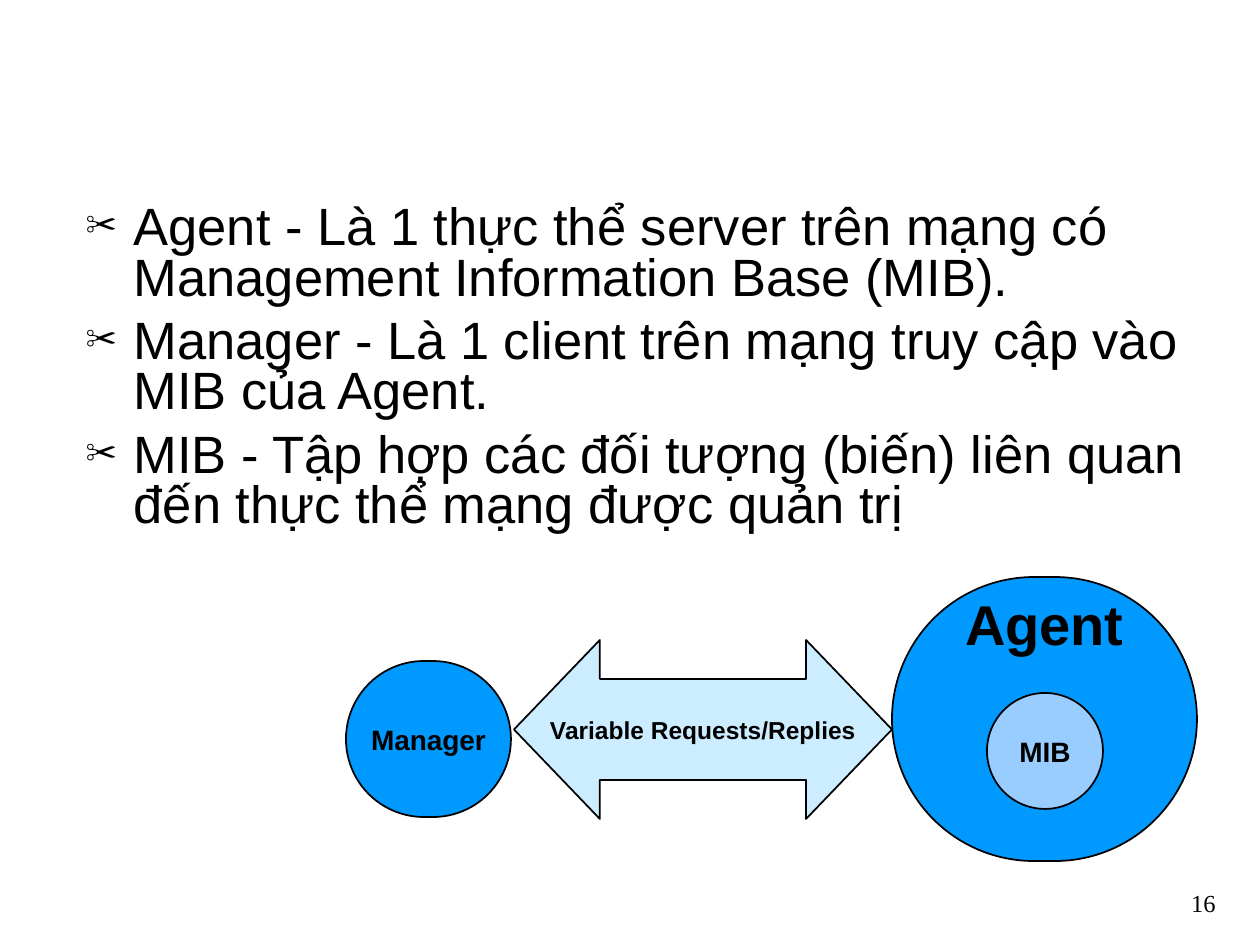
from dataclasses import dataclass

from lxml.etree import SubElement
from pptx import Presentation
from pptx.dml.color import RGBColor
from pptx.enum.shapes import MSO_SHAPE as Preset
from pptx.enum.text import MSO_ANCHOR as Anchor, MSO_AUTO_SIZE as AutoSize, PP_ALIGN as Align
from pptx.oxml.ns import qn
from pptx.util import Emu, Pt

PX_PER_INCH = 126
BLACK, BLUE, LIGHT_BLUE, PALE_BLUE = "000000", "0099FF", "99CCFF", "CCECFF"

DEFINITIONS = (
    "Agent - Là 1 thực thể server trên mạng có Management Information Base (MIB).",
    "Manager - Là 1 client trên mạng truy cập vào MIB của Agent.",
    "MIB - Tập hợp các đối tượng (biến) liên quan đến thực thể mạng được quản trị",
)


@dataclass
class Node:
    label: str
    box: tuple[int, int, int, int]
    fill: str
    size: int = 16
    preset: Preset = Preset.ROUNDED_RECTANGLE
    adjustments: tuple[float, ...] = (0.5,)


NODES = (
    Node("", (892, 577, 305, 284), BLUE),
    Node("Manager", (346, 661, 165, 156), BLUE),
    Node("Variable Requests/Replies", (514, 640, 378, 179), PALE_BLUE, 14,
         Preset.LEFT_RIGHT_ARROW, (0.564, 0.48)),
    Node("MIB", (987, 693, 116, 116), LIGHT_BLUE),
)


def px(length: int) -> Emu:
    return Emu(round(length * 914400 / PX_PER_INCH))


def color(value: str) -> RGBColor:
    return RGBColor.from_string(value)


def write(paragraph, text: str, *, size: int, font: str = "Arial",
          bold: bool = False, align: Align = Align.LEFT) -> None:
    paragraph.alignment = align
    run = paragraph.add_run()
    run.text = text
    run.font.name = font
    run.font.size = Pt(size)
    run.font.bold = bold
    run.font.color.rgb = color(BLACK)


def add_bullet(paragraph, character: str, percent: int, indent: int) -> None:
    properties = paragraph._p.get_or_add_pPr()
    properties.set("marL", str(px(indent)))
    properties.set("indent", str(-px(indent)))
    bullet_color = SubElement(properties, qn("a:buClr"))
    SubElement(bullet_color, qn("a:srgbClr"), val=BLACK)
    SubElement(properties, qn("a:buSzPct"), val=str(percent * 1000))
    SubElement(properties, qn("a:buChar"), char=character)


def fill_definitions(body) -> None:
    body.left, body.top, body.width, body.height = map(px, (73, 199, 1166, 368))
    frame = body.text_frame
    frame.auto_size = AutoSize.NONE
    for index, definition in enumerate(DEFINITIONS):
        paragraph = frame.add_paragraph() if index else frame.paragraphs[0]
        write(paragraph, definition, size=30)
        paragraph.line_spacing = 0.8
        paragraph.space_before = Pt(7.5)
        add_bullet(paragraph, "✂", percent=60, indent=48)


def add_node(slide, node: Node) -> None:
    shape = slide.shapes.add_shape(node.preset, *map(px, node.box))
    shape.shadow.inherit = False
    for index, value in enumerate(node.adjustments):
        shape.adjustments[index] = value
    shape.fill.solid()
    shape.fill.fore_color.rgb = color(node.fill)
    shape.line.color.rgb = color(BLACK)
    shape.line.width = Pt(1)
    if node.label:
        frame = shape.text_frame
        frame.word_wrap = False
        frame.vertical_anchor = Anchor.MIDDLE
        write(frame.paragraphs[0], node.label, size=node.size, bold=True, align=Align.CENTER)


def add_label(slide, text: str, box: tuple[int, int, int, int], **text_format) -> None:
    frame = slide.shapes.add_textbox(*map(px, box)).text_frame
    frame.word_wrap = True
    write(frame.paragraphs[0], text, **text_format)


def main() -> None:
    presentation = Presentation()
    presentation.slide_width, presentation.slide_height = px(1260), px(945)
    slide = presentation.slides.add_slide(presentation.slide_layouts[1])
    title = slide.shapes.title
    title._element.getparent().remove(title._element)

    fill_definitions(slide.placeholders[1])
    add_label(slide, "16", (966, 882, 262, 42), size=14,
              font="Times New Roman", align=Align.RIGHT)
    for node in NODES:
        add_node(slide, node)
    add_label(slide, "Agent", (892, 583, 305, 77), size=32, bold=True, align=Align.CENTER)

    presentation.save("out.pptx")


if __name__ == "__main__":
    main()
